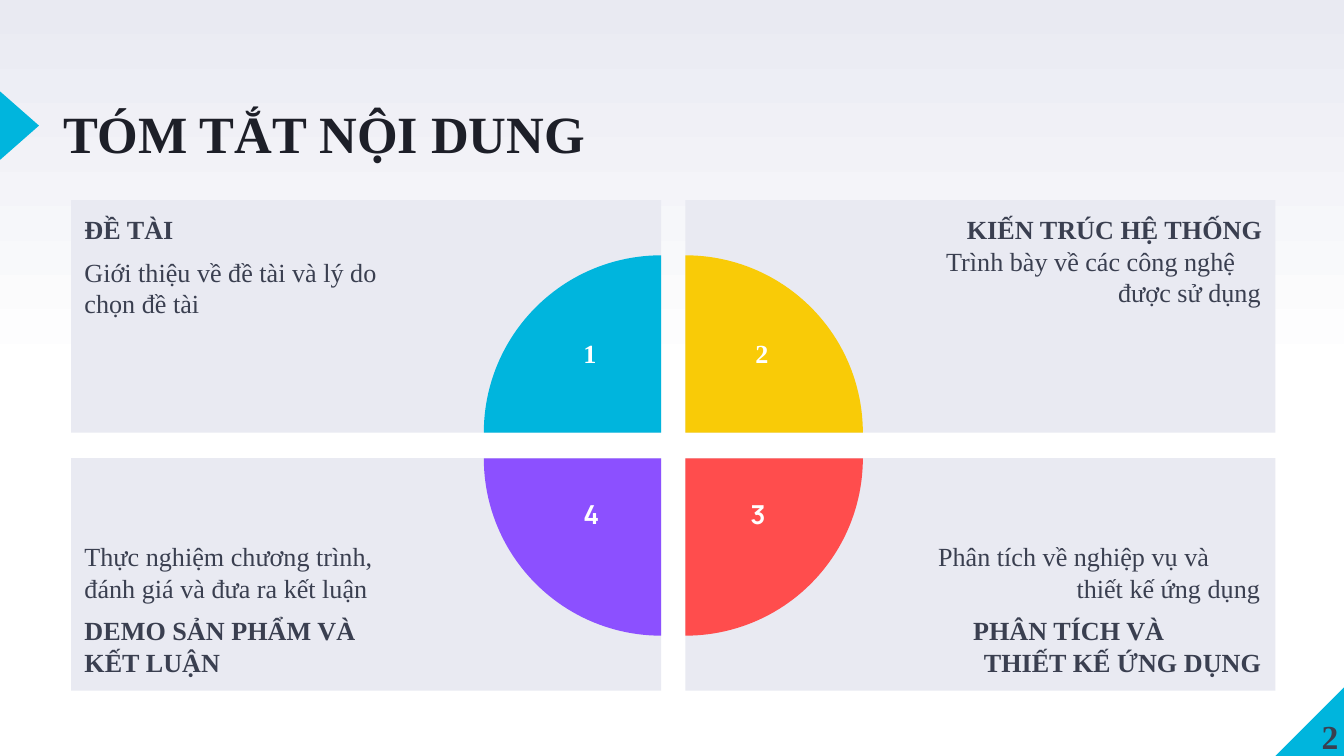
from dataclasses import dataclass

from pptx import Presentation
from pptx import util as u
from pptx.dml.color import RGBColor
from pptx.enum import shapes, text


@dataclass(frozen=True)
class Theme:
    accent: str = "00B5DD"
    panel: str = "E9EAF2"
    body: str = "3A3F50"
    heading: str = "1D1F28"
    white: str = "FFFFFF"
    serif: str = "Times New Roman"
    sans: str = "Manrope"
    title_size: int = 28
    number_size: int = 18
    body_size: int = 14


T = Theme()
TITLE = "TÓM TẮT NỘI DUNG"
PAGE = "2"
SPACED = dict(before=6, after=6)

QUADRANTS = [
    dict(col=0, row=0, number="1", color=T.accent, font=T.serif, dx=0.53, lines=[
        ("ĐỀ TÀI", dict(bold=True)),
        ("Giới thiệu về đề tài và lý do\vchọn đề tài", SPACED)]),
    dict(col=1, row=0, number="2", color="F9CB07", font=T.serif, dx=0.57, lines=[
        ("KIẾN TRÚC HỆ THỐNG", dict(bold=True, align="RIGHT")),
        ("Trình bày về các công nghệ\vđược sử dụng", dict(starts=(0.44, 1.72)))]),
    dict(col=1, row=1, number="3", color="FF4D4D", font=T.sans, dx=0.54, lines=[
        ("Phân tích về nghiệp vụ và\vthiết kế ứng dụng", dict(starts=(0.38, 1.41))),
        ("PHÂN TÍCH VÀ\vTHIẾT KẾ ỨNG DỤNG",
         dict(bold=True, starts=(0.64, 0.72), **SPACED))]),
    dict(col=0, row=1, number="4", color="8C50FF", font=T.sans, dx=0.52, lines=[
        ("Thực nghiệm chương trình,\vđánh giá và đưa ra kết luận", dict(before=6)),
        ("DEMO SẢN PHẨM VÀ\vKẾT LUẬN", dict(bold=True, **SPACED))]),
]

W = 10
H = W * 9 / 16
LEFT, TOP = 0.53, 1.49
PANEL_W, PANEL_H = 4.39, 1.73
GAP_X, GAP_Y = 0.18, 0.19
PIE = 2.64
LABEL_W, LABEL_H = 0.5, 0.48
LABEL_DY = (-0.52, 0.49)
PAD, WIDE_PAD = 0.1, 1.5
CORNER = 0.51


def rgb(value):
    return RGBColor.from_string(value)


def add_shape(s, kind, box, color, rotation=0):
    sp = s.shapes.add_shape(kind, *map(u.Inches, box))
    sp.fill.solid()
    sp.fill.fore_color.rgb = rgb(color)
    sp.line.fill.background()
    sp.shadow.inherit = False
    sp.rotation = rotation
    return sp


def frame(sp, insets, anchor="TOP"):
    tf = sp.text_frame
    tf.word_wrap = True
    tf.auto_size = text.MSO_AUTO_SIZE.NONE
    tf.vertical_anchor = text.MSO_ANCHOR[anchor]
    tf.margin_left, tf.margin_top, tf.margin_right, tf.margin_bottom = map(u.Inches, insets)
    return tf


def write(p, content, size=T.body_size, color=T.body, font=T.serif, bold=False,
          align="LEFT", before=0, after=0, spacing=1.0, starts=None):
    p.text = content
    p.alignment = text.PP_ALIGN[align]
    p.space_before, p.space_after = u.Pt(before), u.Pt(after)
    p.line_spacing = spacing
    if starts:
        first, rest = starts
        pPr = p._p.get_or_add_pPr()
        pPr.set("marL", str(u.Inches(rest)))
        pPr.set("indent", str(u.Inches(first - rest)))
    for r in p.runs:
        r.font.size, r.font.bold, r.font.name = u.Pt(size), bold, font
        r.font.color.rgb = rgb(color)


def add_label(s, box, content, insets=(0, 0, 0, 0), anchor="TOP", **style):
    sp = s.shapes.add_textbox(*map(u.Inches, box))
    write(frame(sp, insets, anchor).paragraphs[0], content, bold=True, **style)


def add_panel(s, q):
    x = LEFT + q["col"] * (PANEL_W + GAP_X)
    y = TOP + q["row"] * (PANEL_H + GAP_Y)
    sp = add_shape(s, shapes.MSO_SHAPE.RECTANGLE, (x, y, PANEL_W, PANEL_H), T.panel)
    sides = (WIDE_PAD, PAD) if q["col"] else (PAD, WIDE_PAD)
    tf = frame(sp, (sides[0], PAD, sides[1], PAD), ("TOP", "BOTTOM")[q["row"]])
    for i, (content, style) in enumerate(q["lines"]):
        write(tf.add_paragraph() if i else tf.paragraphs[0], content, **style)


def add_pie(s, q, turn):
    cx = LEFT + PANEL_W + q["col"] * GAP_X
    cy = TOP + PANEL_H + q["row"] * GAP_Y
    sp = add_shape(s, shapes.MSO_SHAPE.PIE, (cx - PIE / 2, cy - PIE / 2, PIE, PIE),
                   q["color"], 90 * turn)
    sp.adjustments[0], sp.adjustments[1] = 108, 162
    x = cx + (q["dx"] if q["col"] else -q["dx"])
    y = cy + LABEL_DY[q["row"]]
    add_label(s, (x - LABEL_W / 2, y - LABEL_H / 2, LABEL_W, LABEL_H), q["number"],
              insets=(PAD, 0.05, PAD, 0.05), color=T.white, font=q["font"], align="CENTER")


def main():
    prs = Presentation()
    prs.slide_width, prs.slide_height = u.Inches(W), u.Inches(H)
    s = prs.slides.add_slide(prs.slide_layouts[5])

    fill = s.background.fill
    fill.gradient()
    fill.gradient_angle = 90
    for stop, position, color in zip(fill.gradient_stops, (0.5, 1), (T.white, T.panel)):
        stop.position = position
        stop.color.rgb = rgb(color)

    add_shape(s, shapes.MSO_SHAPE.RIGHT_TRIANGLE,
              (W - CORNER, H - CORNER, CORNER, CORNER), T.accent, 270)
    add_shape(s, shapes.MSO_SHAPE.ISOSCELES_TRIANGLE, (-0.11, 0.79, 0.51, 0.29), T.accent, 90)

    title = s.shapes.title
    title.left, title.top, title.width, title.height = map(u.Inches, (0.47, 0.84, 4.07, 0.46))
    write(frame(title, (0, 0, 0, 0)).paragraphs[0], TITLE, size=T.title_size,
          color=T.heading, bold=True, spacing=0.8)

    for q in QUADRANTS:
        add_panel(s, q)
    for turn, q in enumerate(QUADRANTS):
        add_pie(s, q, turn)

    add_label(s, (9.46, H - CORNER, 0.5, CORNER), PAGE, anchor="BOTTOM",
              size=T.number_size, align="RIGHT")
    prs.save("out.pptx")


if __name__ == "__main__":
    main()
